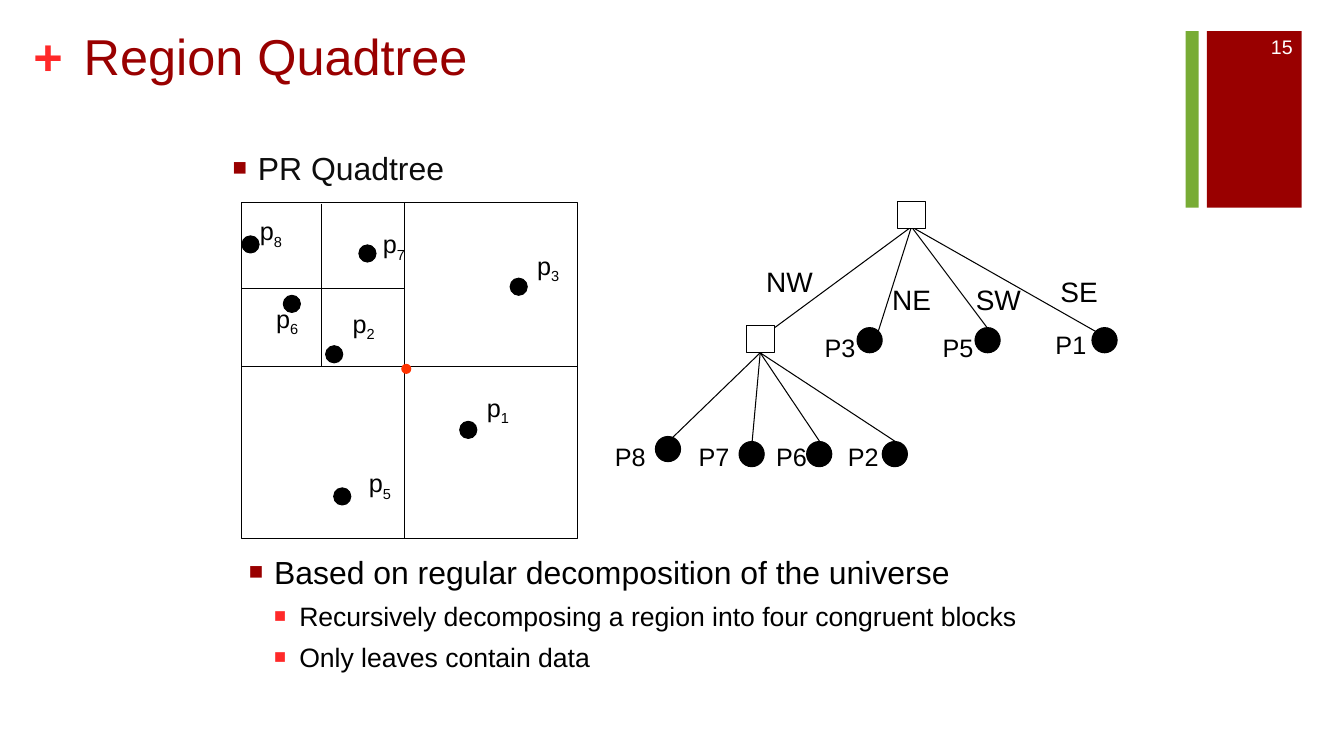
"""Build the Region Quadtree slide with its square decomposition and tree."""
import pptx
import pptx.dml.color
import pptx.enum.shapes
import pptx.enum.text
import pptx.oxml
import pptx.oxml.ns
import pptx.util
from dataclasses import dataclass
from pptx.util import Inches

TITLE = "Region Quadtree"
TITLE_AREA = (0.73, 0.2, 11.02, 1.22)
PLUS_AREA = (0.33, 0.25, 0.38, 0.61)
NUMBER_AREA = (12.11, 0.26, 0.81, 0.4)
HEADING_AREA = (2.21, 1.42, 8.26, 5.72)
SUMMARY_AREA = (2.37, 5.43, 9.1, 1.45)
HEADING = [("PR Quadtree", 0)]
SUMMARY = [
    ("Based on regular decomposition of the universe", 0),
    ("Recursively decomposing a region into four congruent blocks", 1),
    ("Only leaves contain data", 1),
]
BANDS = [("dark", (11.97, 0.31, 0.94, 1.75)), ("green", (11.76, 0.31, 0.13, 1.75))]

REGION = (2.4, 2.01, 3.33, 3.33)
REGION_CENTER = (3.98, 3.61, 0.1, 0.1)
SPLITS = [
    ((2.4, 3.64), (5.73, 3.64)),
    ((4.01, 2.01), (4.01, 5.34)),
    ((2.4, 2.86), (4.01, 2.86)),
    ((3.19, 2.02), (3.19, 3.64)),
]
POINT_SIZE = 0.17
POINTS = {
    "1": ((4.56, 4.18), (4.73, 3.84)),
    "2": ((3.23, 3.43), (3.4, 3.01)),
    "3": ((5.06, 2.76), (5.23, 2.43)),
    "5": ((3.31, 4.84), (3.56, 4.59)),
    "6": ((2.81, 2.93), (2.64, 2.96)),
    "7": ((3.56, 2.43), (3.7, 2.22)),
    "8": ((2.4, 2.34), (2.48, 2.09)),
}

LEAF_SIZE = 0.25
BOX_SIZE = (0.28, 0.27)
BOXES = [(8.9, 2), (7.4, 3.23)]
BRANCHES = [
    ((9.04, 2.25), [(7.63, 3.29), (8.71, 3.29), (9.79, 3.25), (10.87, 3.29)]),
    ((7.54, 3.5), [(6.63, 4.38), (7.46, 4.38), (8.13, 4.38), (8.88, 4.38)]),
]
LEAVES = {
    "P3": ((8.5, 3.25), (8.08, 3.25)),
    "P5": ((9.67, 3.25), (9.25, 3.25)),
    "P1": ((10.83, 3.25), (10.37, 3.22)),
    "P8": ((6.5, 4.33), (6, 4.33)),
    "P7": ((7.33, 4.38), (6.83, 4.33)),
    "P6": ((8, 4.38), (7.6, 4.33)),
    "P2": ((8.75, 4.38), (8.31, 4.33)),
}
DIRECTIONS = {"NW": (7.5, 2.58), "NE": (8.75, 2.75), "SW": (9.58, 2.75), "SE": (10.42, 2.67)}


@dataclass(frozen=True)
class Theme:
    """Colours, font and type sizes of the slide."""
    font: str = "Arial"
    dark: str = "990000"
    bright: str = "FF2929"
    green: str = "78AC35"
    center: str = "FF3300"
    ink: str = "000000"
    heading: str = "0D0D0D"
    white: str = "FFFFFF"
    title_size: float = 36
    bullet_sizes: tuple = (22.8, 19)
    bullet_space: float = 6.6
    direction_size: float = 20
    label_size: float = 18
    number_size: float = 14
    line_width: float = 0.75


THEME = Theme()
SHAPES = pptx.enum.shapes.MSO_SHAPE
ALIGN = pptx.enum.text.PP_ALIGN
ANCHOR = pptx.enum.text.MSO_ANCHOR


def rgb(color):
    return pptx.dml.color.RGBColor.from_string(color)


def apply(target, values):
    for name, value in values.items():
        setattr(target, name, value)


def place(shape, area):
    apply(shape, dict(zip(("left", "top", "width", "height"), map(Inches, area))))


def add_run(paragraph, text, size, color, bold=False):
    run = paragraph.add_run()
    run.text = text
    apply(run.font, {"name": THEME.font, "size": pptx.util.Pt(size), "bold": bold})
    run.font.color.rgb = rgb(color)
    return run


def add_text(slide, area, text, size, color, bold=False, align=ALIGN.LEFT, **frame_values):
    frame = slide.shapes.add_textbox(*map(Inches, area)).text_frame
    apply(frame, {"word_wrap": True, "vertical_anchor": ANCHOR.TOP, **frame_values})
    paragraph = frame.paragraphs[0]
    paragraph.alignment = align
    add_run(paragraph, text, size, color, bold)
    return paragraph


def add_figure(slide, kind, area, fill=None, line=None):
    shape = slide.shapes.add_shape(kind, *map(Inches, area))
    shape.shadow.inherit = False
    if fill:
        shape.fill.solid()
        shape.fill.fore_color.rgb = rgb(fill)
    else:
        shape.fill.background()
    if line:
        shape.line.color.rgb = rgb(line)
        shape.line.width = pptx.util.Pt(THEME.line_width)
    else:
        shape.line.fill.background()


def add_line(slide, start, end):
    kind = pptx.enum.shapes.MSO_CONNECTOR.STRAIGHT
    line = slide.shapes.add_connector(kind, *map(Inches, start + end))
    line.line.color.rgb = rgb(THEME.ink)
    line.line.width = pptx.util.Pt(THEME.line_width)
    properties = line._element.spPr
    properties.append(properties.makeelement(pptx.oxml.ns.qn("a:effectLst"), {}))


def add_bullets(slide, area, items, color):
    frame = slide.shapes.add_textbox(*map(Inches, area)).text_frame
    frame.word_wrap = True
    for index, (text, level) in enumerate(items):
        paragraph = frame.paragraphs[0] if index == 0 else frame.add_paragraph()
        apply(paragraph, {"level": level, "space_before": pptx.util.Pt(THEME.bullet_space if index else 0)})
        properties = paragraph._p.get_or_add_pPr()
        properties.set("marL", str(Inches(0.25 * (level + 1))))
        properties.set("indent", str(Inches(-0.25)))
        bullet_color = (THEME.dark, THEME.bright)[level]
        for markup in (
            f'<a:buClr {{}}><a:srgbClr val="{bullet_color}"/></a:buClr>',
            '<a:buSzPct {} val="75000"/>',
            f'<a:buFont {{}} typeface="{THEME.font}"/>',
            '<a:buChar {} char="■"/>',
        ):
            properties.append(pptx.oxml.parse_xml(markup.format(pptx.oxml.ns.nsdecls("a"))))
        add_run(paragraph, text, THEME.bullet_sizes[level], color)


def add_header(slide):
    title = slide.shapes.title
    place(title, TITLE_AREA)
    apply(title.text_frame, {"vertical_anchor": ANCHOR.TOP, "word_wrap": True,
                             "auto_size": pptx.enum.text.MSO_AUTO_SIZE.NONE})
    paragraph = title.text_frame.paragraphs[0]
    paragraph.alignment = ALIGN.LEFT
    add_run(paragraph, TITLE, THEME.title_size, THEME.dark)
    for color, area in BANDS:
        add_figure(slide, SHAPES.RECTANGLE, area, getattr(THEME, color))
    no_margins = dict.fromkeys(("margin_left", "margin_top", "margin_right", "margin_bottom"), 0)
    add_text(slide, PLUS_AREA, "+", THEME.title_size, THEME.bright, True, **no_margins)
    add_text(slide, NUMBER_AREA, "15", THEME.number_size, THEME.white,
             align=ALIGN.RIGHT, vertical_anchor=ANCHOR.MIDDLE)


def add_tree(slide):
    for start, ends in BRANCHES:
        for end in ends:
            add_line(slide, start, end)
    for corner in BOXES:
        add_figure(slide, SHAPES.RECTANGLE, corner + BOX_SIZE, THEME.white, THEME.ink)
    for label, (dot, corner) in LEAVES.items():
        add_figure(slide, SHAPES.OVAL, dot + (LEAF_SIZE, LEAF_SIZE), THEME.ink, THEME.ink)
        add_text(slide, corner + (0.58, 0.4), label, THEME.label_size, THEME.ink)
    for label, corner in DIRECTIONS.items():
        add_text(slide, corner + (0.77, 0.43), label, THEME.direction_size, THEME.ink)


def add_region(slide):
    add_figure(slide, SHAPES.RECTANGLE, REGION, line=THEME.ink)
    for start, end in SPLITS:
        add_line(slide, start, end)
    for number, (dot, corner) in POINTS.items():
        add_figure(slide, SHAPES.OVAL, dot + (POINT_SIZE, POINT_SIZE), THEME.ink, THEME.ink)
        label = add_text(slide, corner + (0.42, 0.71), "p", THEME.label_size, THEME.ink, margin_right=0)
        subscript = add_run(label, number, THEME.label_size, THEME.ink)
        subscript._r.get_or_add_rPr().set("baseline", "-25000")
    add_figure(slide, SHAPES.OVAL, REGION_CENTER, THEME.center)


def main():
    presentation = pptx.Presentation()
    apply(presentation, {"slide_width": Inches(13.33), "slide_height": Inches(7.5)})
    slide = presentation.slides.add_slide(presentation.slide_layouts[5])
    add_header(slide)
    add_tree(slide)
    add_region(slide)
    add_bullets(slide, SUMMARY_AREA, SUMMARY, THEME.ink)
    add_bullets(slide, HEADING_AREA, HEADING, THEME.heading)
    presentation.save("out.pptx")


if __name__ == "__main__":
    main()
